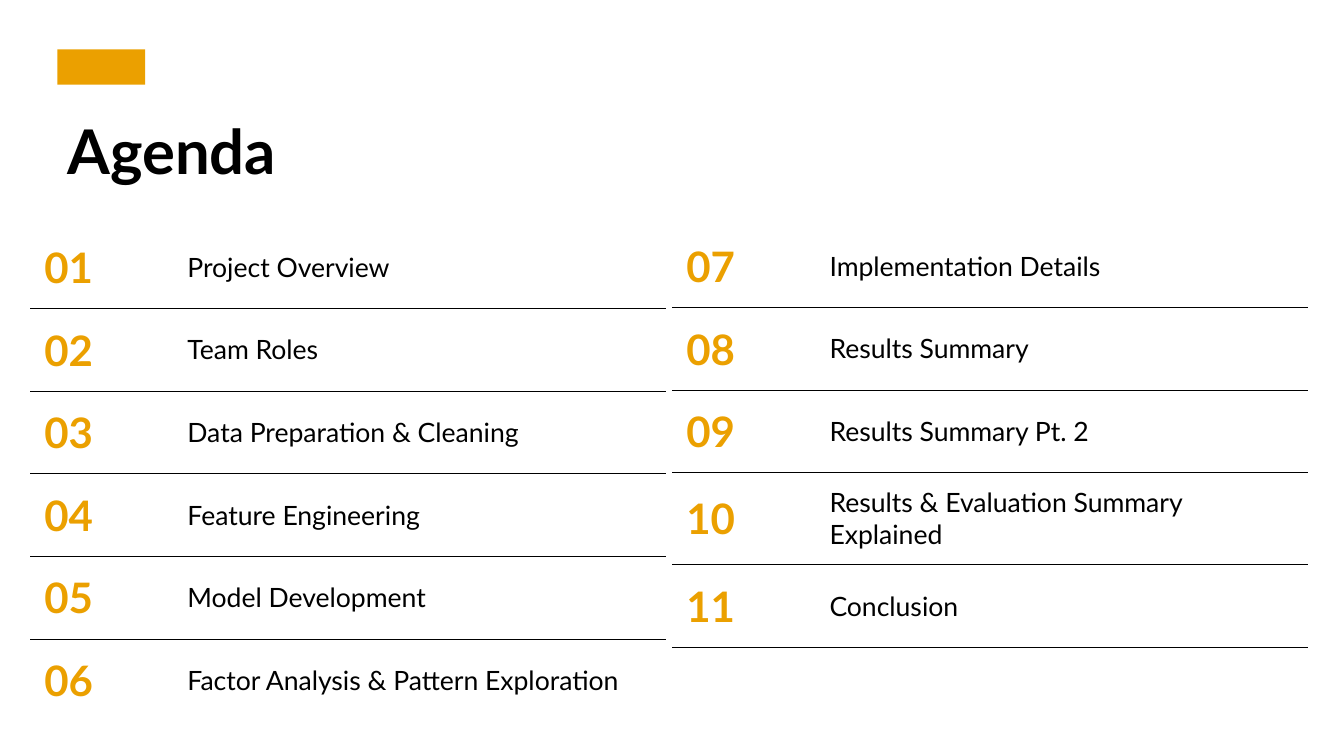
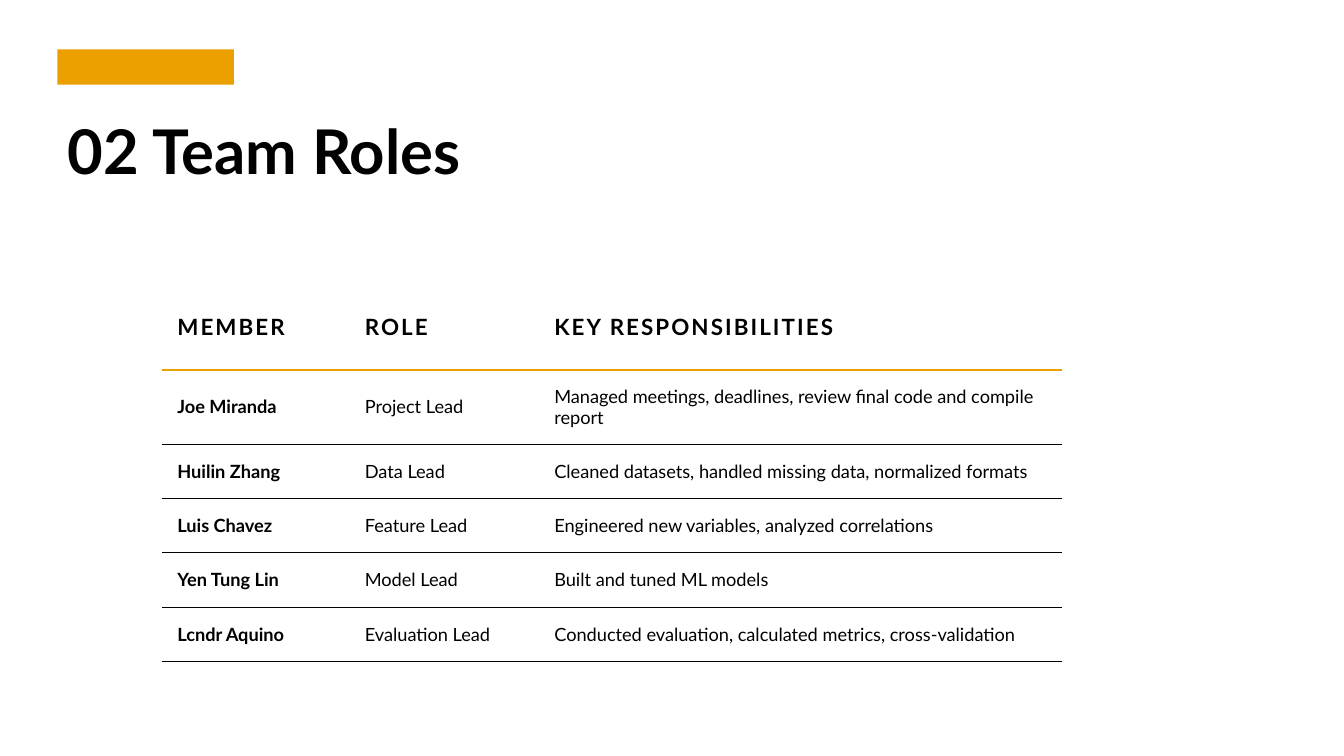
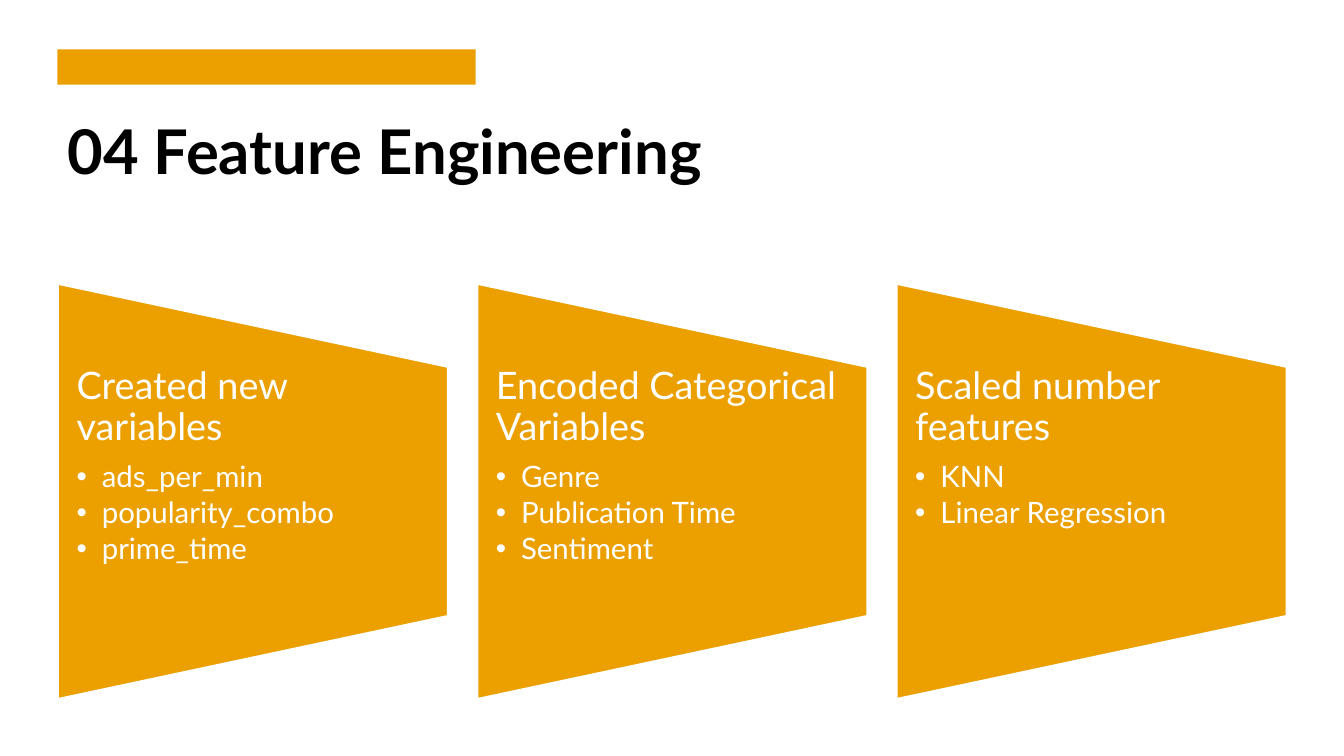
from lxml.etree import SubElement
from pptx import Presentation
from pptx.dml.color import RGBColor
from pptx.enum.shapes import MSO_SHAPE
from pptx.enum.text import MSO_ANCHOR, PP_ALIGN
from pptx.oxml.ns import qn
from pptx.util import Pt

PX = 9144  # 100 px to the inch
FONT = "Lato"
COLORS = {"gold": "EBA000", "ink": "000000", "paper": "FFFFFF"}
NO_GRID = "{2D5ABB26-0587-4C30-8999-92F81FD0307C}"

AGENDA = [
    ("Project Overview", "Team Roles", "Data Preparation & Cleaning",
     "Feature Engineering", "Model Development",
     "Factor Analysis & Pattern Exploration"),
    ("Implementation Details", "Results Summary", "Results Summary Pt. 2",
     "Results & Evaluation Summary Explained", "Conclusion", ""),
]
AGENDA_AT = [(30, 224), (667, 223)]
AGENDA_LOOK = [{"size": 30, "color": "gold", "bold": True}, {"size": 19}]

TEAM = [
    ("MEMBER", "ROLE", "KEY RESPONSIBILITIES"),
    ("Joe Miranda", "Project Lead",
     "Managed meetings, deadlines, review final code and compile report"),
    ("Huilin Zhang", "Data Lead",
     "Cleaned datasets, handled missing data, normalized formats"),
    ("Luis Chavez", "Feature Lead",
     "Engineered new variables, analyzed correlations"),
    ("Yen Tung Lin", "Model Lead", "Built and tuned ML models"),
    ("Lcndr Aquino", "Evaluation Lead",
     "Conducted evaluation, calculated metrics, cross-validation"),
]
TEAM_HEAD = [{"size": 16, "bold": True, "track": 1.5}] * 3
TEAM_LOOK = [{"size": 13, "bold": True}, {"size": 13}, {"size": 13}]

FEATURES = [
    ("Created new variables", ("ads_per_min", "popularity_combo", "prime_time")),
    ("Encoded Categorical Variables", ("Genre", "Publication Time", "Sentiment")),
    ("Scaled number features", ("KNN", "Linear Regression")),
]

THIN, THICK = ("ink", 0.5), ("gold", 1.5)


def px(*nums):
    return [round(n * PX) for n in nums]


def rgb(name):
    return RGBColor.from_string(COLORS[name])


def put(para, text, size, color="ink", bold=False, track=0):
    run = para.add_run()
    run.text = text
    font = run.font
    font.name, font.size, font.bold = FONT, Pt(size), bold
    font.color.rgb = rgb(color)
    if track:
        run._r.get_or_add_rPr().set("spc", str(round(track * 100)))


def block(slide, kind, box, line=None, turn=0):
    """Add a gold preset shape, with a line if one is given."""
    shape = slide.shapes.add_shape(kind, *px(*box))
    shape.shadow.inherit = False
    shape.rotation = turn
    shape.fill.solid()
    shape.fill.fore_color.rgb = rgb("gold")
    if line:
        color, width = line
        shape.line.color.rgb = rgb(color)
        shape.line.width = Pt(width)
    else:
        shape.line.fill.background()


def start(deck, title, bar):
    """Add a slide with its title and a gold bar of the given width."""
    slide = deck.slides.add_slide(deck.slide_layouts[5])
    head = slide.shapes.title
    head.left, head.top, head.width, head.height = px(57, 107, 950, 160)
    frame = head.text_frame
    frame.word_wrap = True
    frame.vertical_anchor = MSO_ANCHOR.TOP
    para = frame.paragraphs[0]
    para.alignment = PP_ALIGN.LEFT
    put(para, title, size=44, bold=True)
    block(slide, MSO_SHAPE.RECTANGLE, (57, 49, bar, 35))
    return slide


def edge(cell, tag, line):
    if line:
        color, width = line
        props = cell._tc.get_or_add_tcPr()
        rule = SubElement(props, qn(tag), w=str(Pt(width)))
        fill = SubElement(rule, qn("a:solidFill"))
        SubElement(fill, qn("a:srgbClr"), val=COLORS[color])


def grid(slide, spot, cols, highs, rows, looks, rules, pad):
    """Draw a table; rules holds the line above each row and below the last."""
    box = px(*spot, sum(cols), sum(highs))
    table = slide.shapes.add_table(len(rows), len(cols), *box).table
    table.first_row = table.horz_banding = False
    table._tbl.tblPr.find(qn("a:tableStyleId")).text = NO_GRID
    for col, wide in zip(table.columns, px(*cols)):
        col.width = wide
    for r, (row, high) in enumerate(zip(rows, px(*highs))):
        table.rows[r].height = high
        for c, text in enumerate(row):
            cell = table.cell(r, c)
            cell.margin_left = cell.margin_right = pad * PX
            cell.margin_top = cell.margin_bottom = pad * PX
            cell.vertical_anchor = MSO_ANCHOR.MIDDLE
            edge(cell, "a:lnT", rules[r])
            edge(cell, "a:lnB", rules[r + 1])
            cell.fill.background()
            if text:
                put(cell.text_frame.paragraphs[0], text, **looks[r][c])


def agenda(deck):
    slide = start(deck, "Agenda", 87)
    num = 0
    for spot, names in zip(AGENDA_AT, AGENDA):
        rows = []
        for name in names:
            num += 1
            rows.append((f"{num:02}" if name else "", name))
        count = len(rows)
        grid(slide, spot, (142, 489), [82] * count, rows,
             [AGENDA_LOOK] * count, [None] + [THIN] * (count - 1) + [None], 14)


def team(deck):
    slide = start(deck, "02 Team Roles", 175)
    body = len(TEAM) - 1
    grid(slide, (161, 282), (186, 188, 519), [85] + [54] * body, TEAM,
         [TEAM_HEAD] + [TEAM_LOOK] * body, [None, THICK] + [THIN] * body, 15)


def bullet(para):
    props = para._p.get_or_add_pPr()
    props.set("marL", str(25 * PX))
    props.set("indent", str(-25 * PX))
    SubElement(props, qn("a:buFont"), typeface="Arial")
    SubElement(props, qn("a:buChar"), char="•")


def features(deck):
    slide = start(deck, "04 Feature Engineering", 415)
    for i, (name, items) in enumerate(FEATURES):
        left = 57 + 416 * i
        block(slide, MSO_SHAPE.FLOWCHART_MANUAL_OPERATION,
              (left - 12, 294, 412, 387), ("paper", 1.5), 270)
        frame = slide.shapes.add_textbox(*px(left, 364, 387, 247)).text_frame
        frame.word_wrap = True
        frame.margin_left = frame.margin_right = 19 * PX
        frame.margin_top = frame.margin_bottom = 0
        for k, text in enumerate((name, *items)):
            para = frame.add_paragraph() if k else frame.paragraphs[0]
            para.line_spacing = 0.9
            para.space_after = Pt(3.15 if k else 9.45)
            if k:
                para.level = 1
                bullet(para)
            put(para, text, size=21 if k else 27, color="paper")


def main():
    deck = Presentation()
    deck.slide_width, deck.slide_height = px(1333.33, 750)
    agenda(deck)
    team(deck)
    features(deck)
    deck.save("out.pptx")


if __name__ == "__main__":
    main()
